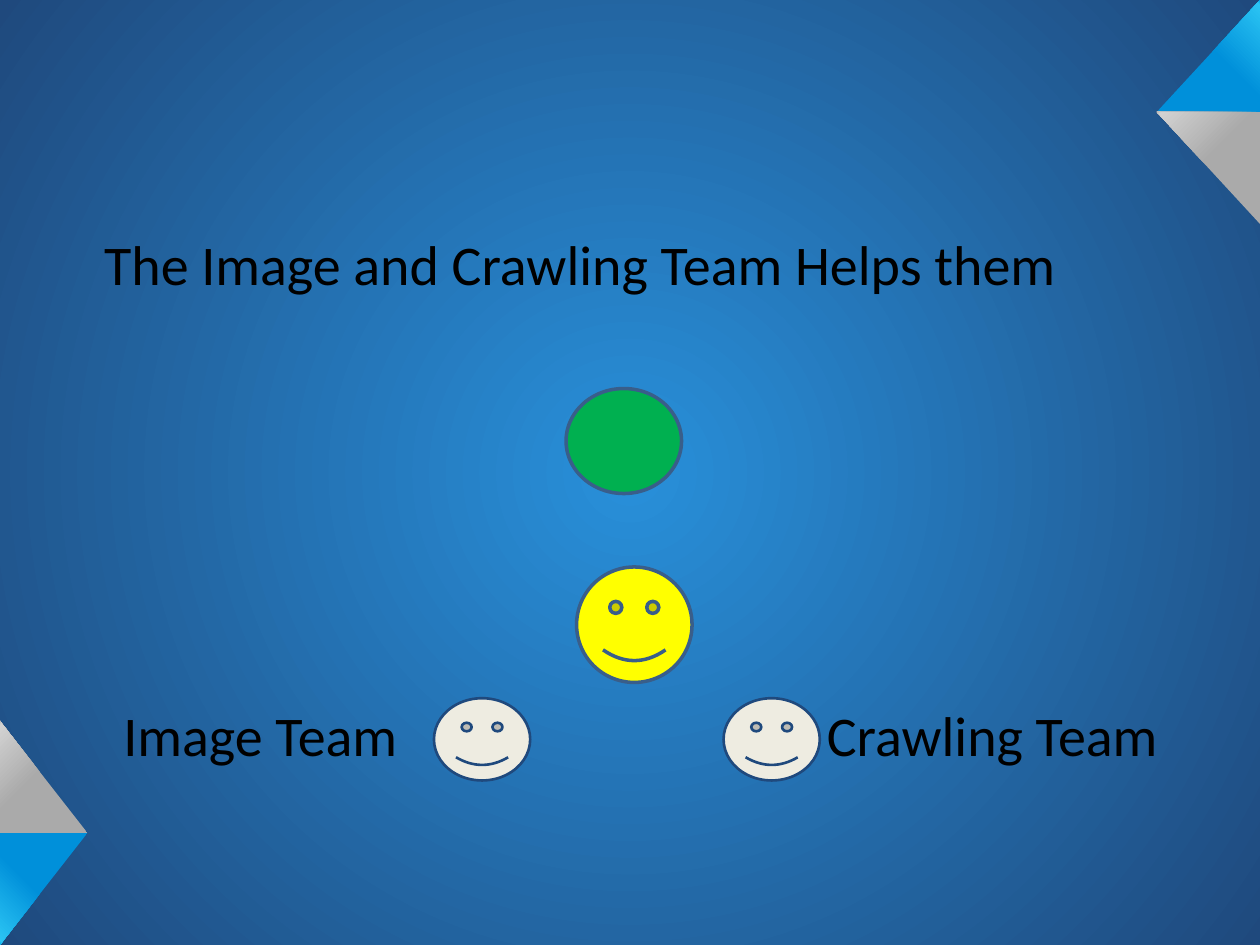
from dataclasses import dataclass

from lxml import etree
from pptx import Presentation
from pptx.dml.color import RGBColor
from pptx.enum.shapes import MSO_SHAPE
from pptx.oxml.ns import qn
from pptx.util import Pt

OVAL = MSO_SHAPE.OVAL
SMILEY = MSO_SHAPE.SMILEY_FACE


@dataclass(frozen=True)
class Theme:
    font: str = "Calibri"
    text_size: float = 32
    text: str = "000000"
    green: str = "00B050"
    yellow: str = "FFFF00"
    cream: str = "EEECE1"
    steel: str = "395E8A"
    navy: str = "1F497D"
    backdrop: tuple = ((0, "2890DA"), (100, "1F497D"))
    blue_fold: tuple = ((0, "0090DA"), (54, "0090DA"), (98, "2BC4F3"), (100, "00AEEE"))
    grey_fold: tuple = ((0, "AAAAAA"), (54, "AAAAAA"), (98, "D2D2D2"), (100, "B9B9B9"))


THEME = Theme()
WIDTH, HEIGHT = 720, 540


def set_gradient(fill, owner, stops, angle=None):
    """Linear fill at a clockwise angle, or circular from the centre without one."""
    fill.gradient()
    gradient = next(owner.iter(qn("a:gradFill")))
    for child in list(gradient):
        gradient.remove(child)
    stop_list = etree.SubElement(gradient, qn("a:gsLst"))
    for position, color in stops:
        stop = etree.SubElement(stop_list, qn("a:gs"), pos=str(position * 1000))
        etree.SubElement(stop, qn("a:srgbClr"), val=color)
    if angle is None:
        circle = etree.SubElement(gradient, qn("a:path"), path="circle")
        etree.SubElement(circle, qn("a:fillToRect"),
                         {side: "50000" for side in "ltrb"})
    else:
        etree.SubElement(gradient, qn("a:lin"), ang=str(angle * 60000), scaled="0")


def add_fold(page, points, stops, angle):
    builder = page.shapes.build_freeform(Pt(points[0][0]), Pt(points[0][1]), scale=1.0)
    builder.add_line_segments([(Pt(x), Pt(y)) for x, y in points[1:]], close=True)
    fold = builder.convert_to_shape()
    fold.shadow.inherit = False
    fold.line.fill.background()
    set_gradient(fold.fill, fold._element.spPr, stops, angle)


def add_corner(page, box, tip_x, edge_x, blue_on_top, blue_angle):
    """Two triangles sharing a level edge that runs to the tip."""
    left, top, width, height = box
    middle, bottom = top + height / 2, top + height
    tip, edge = (left + tip_x * width, middle), left + edge_x * width
    blue_y, grey_y = (top, bottom) if blue_on_top else (bottom, top)
    add_fold(page, [tip, (edge, blue_y), (edge, middle)], THEME.blue_fold, blue_angle)
    add_fold(page, [tip, (edge, grey_y), (edge, middle)], THEME.grey_fold, 225)


def add_text(page, text, left, top, width):
    box = page.shapes.add_textbox(Pt(left), Pt(top), Pt(width), Pt(40))
    frame = box.text_frame
    frame.word_wrap = True
    frame.margin_left = frame.margin_right = frame.margin_top = frame.margin_bottom = 0
    para = frame.paragraphs[0]
    para.text = text
    para.font.name = THEME.font
    para.font.size = Pt(THEME.text_size)
    para.font.color.rgb = RGBColor.from_string(THEME.text)


def add_figure(page, kind, box, fill, line, line_width):
    figure = page.shapes.add_shape(kind, *(Pt(length) for length in box))
    figure.shadow.inherit = False
    figure.fill.solid()
    figure.fill.fore_color.rgb = RGBColor.from_string(fill)
    figure.line.color.rgb = RGBColor.from_string(line)
    figure.line.width = Pt(line_width)


def add_teams(page, box):
    """The helped figures in the middle, with a helper team on each side."""
    left, top, width, height = box
    add_figure(page, OVAL, (left + 253, top, 66, 60), THEME.green, THEME.steel, 2)
    add_figure(page, SMILEY, (left + 259, top + 102, 66, 66),
               THEME.yellow, THEME.steel, 2)
    for name, text_x, face_x in (("Image Team", 0, 177.5), ("Crawling Team", 402, 343)):
        add_text(page, name, left + text_x, top + 178, 200)
        add_figure(page, SMILEY, (left + face_x, top + 177, 55, 47),
                   THEME.cream, THEME.navy, 1.5)


deck = Presentation()
deck.slide_width, deck.slide_height = Pt(WIDTH), Pt(HEIGHT)
page = deck.slides.add_slide(deck.slide_layouts[6])

# Background and folded corners
set_gradient(page.background.fill, page._element, THEME.backdrop)
add_corner(page, (0, HEIGHT - 128, 50, 128), 1, 0, False, 135)
add_corner(page, (WIDTH - 59, 0, 59, 128), 0, 1, True, 315)

# Heading and teams
add_text(page, "The Image and Crawling Team Helps them", 59.5, 131, 600)
add_teams(page, (70.5, 222, 600, 224))

deck.save("out.pptx")
